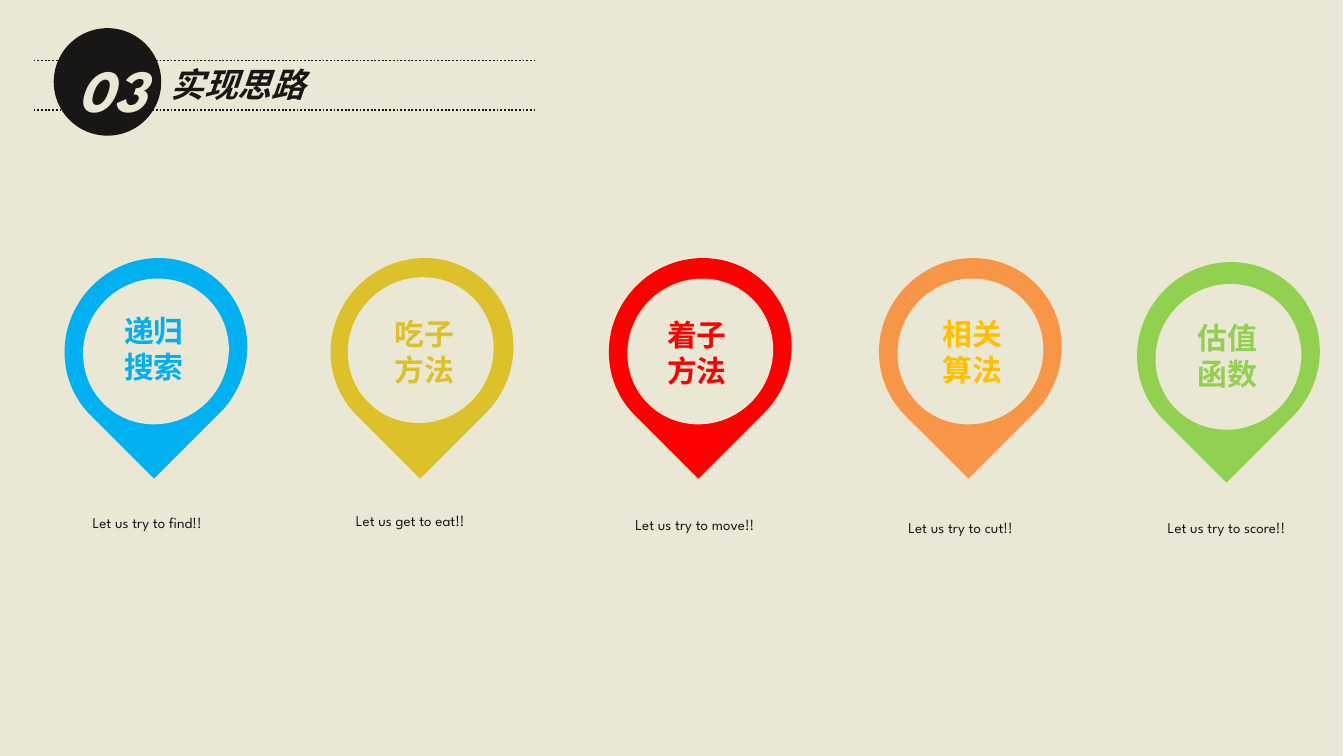
from lxml import etree
from pptx import Presentation
from pptx.dml.color import RGBColor as Rgb
from pptx.enum.dml import MSO_LINE as Dash
from pptx.enum.shapes import MSO_CONNECTOR as Conn, MSO_SHAPE as Kind
from pptx.enum.text import MSO_AUTO_SIZE as Fit, PP_ALIGN as Align
from pptx.oxml.ns import qn
from pptx.util import Emu, Pt

PX = 4572  # EMU in one px, 200 px to the inch
FONT = "League Spartan"
HUES = {
    "paper": "EAE7D4", "ink": "181715", "blue": "00B0F0", "gold": "DCC12A",
    "red": "FF0000", "orange": "F79646", "amber": "FFC000", "green": "92D050",
}
# pin left, top, hole (dx, dy), fill; label, left, top, hue; note, left, top, width
PINS = [
    (490, 386, (26, 28), "gold", "吃子\n方法", 566, 460, "gold",
     "Let us get to eat!!", 510, 752, 232),
    (904, 386, (28, 30), "red", "着子\n方法", 972, 462, "red",
     "Let us try to move!!", 926, 758, 246),
    (94, 386, (28, 30), "blue", "递归\n搜索", 164, 456, "blue",
     "Let us try to find!!", 118, 754, 224),
    (1306, 386, (28, 30), "orange", "相关\n算法", 1382, 460, "amber",
     "Let us try to cut!!", 1332, 762, 218),
    (1690, 392, (28, 32), "green", "估值\n函数", 1762, 466, "green",
     "Let us try to score!!", 1718, 762, 242),
]


def px(*nums):
    return [Emu(n * PX) for n in nums]


def hue(name):
    return Rgb.from_string(HUES[name])


def add_form(slide, kind, box, fill, turn=0):
    form = slide.shapes.add_shape(kind, *px(*box))
    form.shadow.inherit = False
    form.fill.solid()
    form.fill.fore_color.rgb = hue(fill)
    form.line.fill.background()
    form.rotation = turn


def add_rule(slide, left, right, y):
    rule = slide.shapes.add_connector(Conn.STRAIGHT, *px(left, y, right, y))
    rule.line.color.rgb = hue("ink")
    rule.line.width = Pt(1)
    rule.line.dash_style = Dash.ROUND_DOT
    etree.SubElement(rule._element.spPr, qn("a:effectLst"))


def add_text(slide, text, box, size, color, bold=False, slant=False, align=Align.LEFT):
    frame = slide.shapes.add_textbox(*px(*box)).text_frame
    frame.word_wrap = False
    frame.auto_size = Fit.SHAPE_TO_FIT_TEXT
    frame.text = text
    for para in frame.paragraphs:
        para.alignment = align
        font = para.font
        font.name, font.size = FONT, Pt(size)
        font.bold, font.italic = bold, slant
        font.color.rgb = hue(color)


def add_head(slide):
    for y in (90, 164):
        add_rule(slide, 50, 796, y)
    add_form(slide, Kind.OVAL, (80, 42, 160, 160), "ink")
    add_text(slide, "实现思路", (234, 86, 244, 80), 18, "ink", True, True)
    add_text(slide, "03", (96, 68, 140, 128), 32, "paper", True, True)


def add_pin(slide, left, top, hole, fill, label, lx, ly, tint, note, nx, ny, wide):
    """Draw a map pin with its label inside and its note below."""
    dx, dy = hole
    add_form(slide, Kind.TEAR, (left, top, 276, 268), fill, 135)
    add_form(slide, Kind.OVAL, (left + dx, top + dy, 220, 214), "paper", 135)
    add_text(slide, label, (lx, ly, 130, 128), 16, tint, True, align=Align.CENTER)
    add_text(slide, note, (nx, ny, wide, 48), 8, "ink")


def main():
    deck = Presentation()
    deck.slide_width, deck.slide_height = px(2000, 1125)
    slide = deck.slides.add_slide(deck.slide_layouts[6])
    add_form(slide, Kind.RECTANGLE, (0, 0, 1998, 1128), "paper")
    add_head(slide)
    for pin in PINS:
        add_pin(slide, *pin)
    deck.save("out.pptx")


if __name__ == "__main__":
    main()
